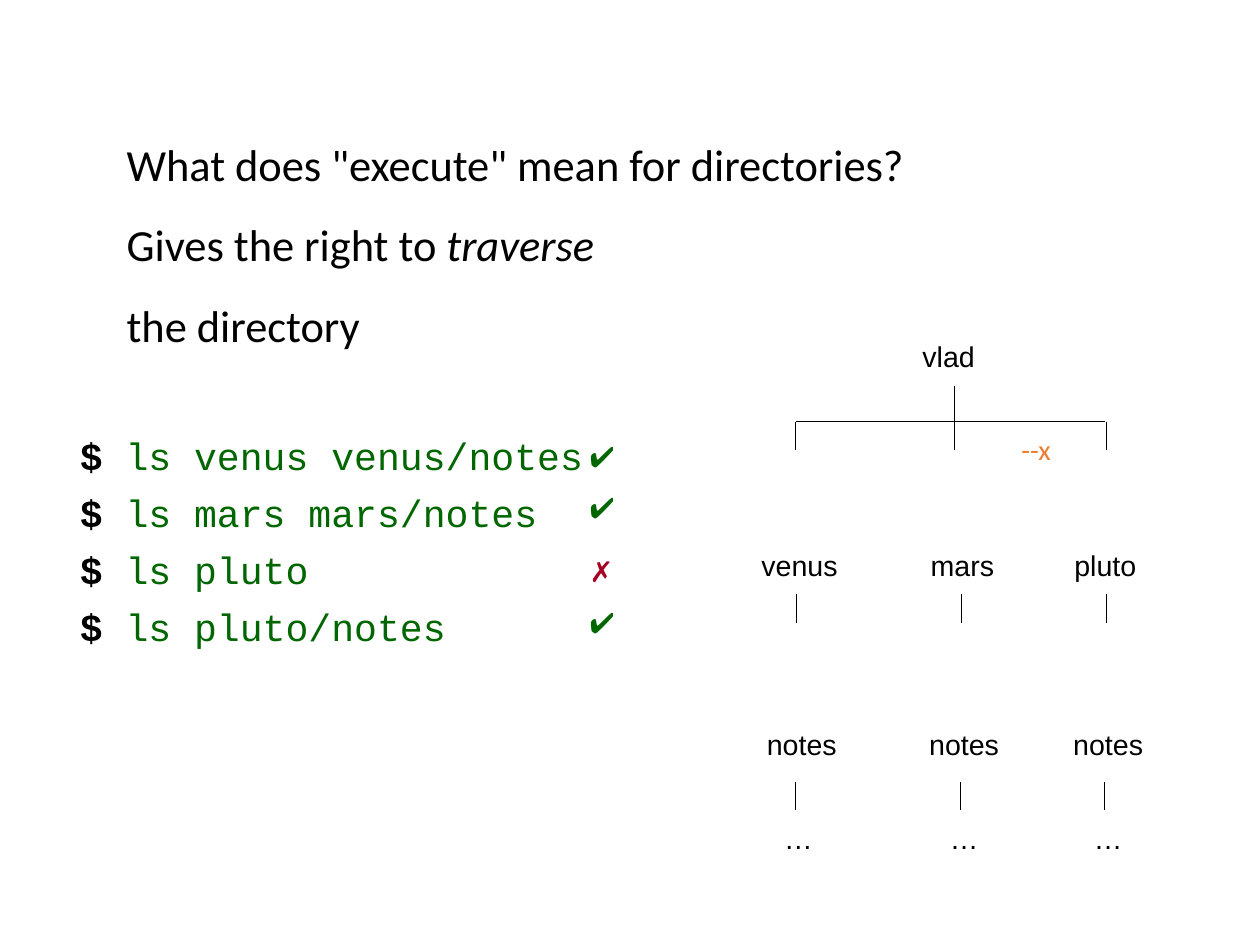
from dataclasses import dataclass

import pptx
import pptx.dml.color
import pptx.enum.shapes
import pptx.enum.text
import pptx.oxml
import pptx.util

Inches, Pt = pptx.util.Inches, pptx.util.Pt
ALIGN = pptx.enum.text.PP_ALIGN


@dataclass(frozen=True)
class Theme:
    black: str = "000000"
    green: str = "006600"
    red: str = "A50021"
    orange: str = "ED7D31"
    heading_size: int = 28
    command_size: int = 24
    label_size: int = 18
    line_width: float = 0.75


theme = Theme()
presentation = pptx.Presentation()
# The page is 28 by 21 centimetres
presentation.slide_width = Inches(28 / 2.54)
presentation.slide_height = Inches(21 / 2.54)
slide = presentation.slides.add_slide(presentation.slide_layouts[6])


def add_text(box, lines, font_name, size, spacing, align=ALIGN.LEFT):
    """Add a text box; each line is a list of (text, colour, bold, italic) runs."""
    text_box = slide.shapes.add_textbox(*[Inches(value) for value in box])
    frame = text_box.text_frame
    frame.word_wrap = False
    for index, runs in enumerate(lines):
        paragraph = frame.paragraphs[0] if index == 0 else frame.add_paragraph()
        paragraph.alignment = align
        paragraph.line_spacing = spacing
        for text, color, bold, italic in runs:
            run = paragraph.add_run()
            run.text = text
            run.font.name = font_name
            run.font.size = Pt(size)
            run.font.bold = bold
            run.font.italic = italic
            run.font.color.rgb = pptx.dml.color.RGBColor.from_string(color)
    return frame


def add_line(x1, y1, x2, y2):
    line = slide.shapes.add_connector(
        pptx.enum.shapes.MSO_CONNECTOR.STRAIGHT,
        Inches(x1), Inches(y1), Inches(x2), Inches(y2))
    line.line.width = Pt(theme.line_width)
    line.line.color.rgb = pptx.dml.color.RGBColor.from_string(theme.black)
    properties = line._element.spPr
    properties.append(properties.makeelement(pptx.oxml.ns.qn("a:effectLst"), {}))


# Heading
heading = [
    [('What does "execute" mean for directories?', theme.black, False, False)],
    [("Gives the right to ", theme.black, False, False),
     ("traverse", theme.black, False, True)],
    [("the directory", theme.black, False, False)],
]
heading_frame = add_text((1.01, 0.92, 7.07, 2.22), heading, "Calibri",
                         theme.heading_size, 1.5)
for paragraph in heading_frame.paragraphs:
    properties = paragraph._p.get_or_add_pPr()
    properties.set("marL", str(Inches(0.5)))
    properties.set("indent", str(Inches(-0.5)))

# Commands and their outcomes
commands = [
    ("ls venus venus/notes", "✔", theme.green, 3.82),
    ("ls mars mars/notes", "✔", theme.green, 4.26),
    ("ls pluto", "✗", theme.red, 4.82),
    ("ls pluto/notes", "✔", theme.green, 5.27),
]
command_lines = [[("$ ", theme.black, True, False), (command, theme.green, False, False)]
                 for command, *_ in commands]
add_text((0.6, 3.63, 4.66, 3.91), command_lines, "Courier New",
         theme.command_size, 1.25)
for _, mark, color, top in commands:
    add_text((5.06, top, 0.45, 0.38), [[(mark, color, False, False)]],
             "Arial", theme.label_size, 0.93)

# Directory tree: root and its branches
add_line(6.96, 3.69, 9.67, 3.69)
for x, top in [(6.96, 3.69), (8.35, 3.38), (9.68, 3.69)]:
    add_line(x, top, x, 3.94)

# Each label: text, left, top, width, font, colour
labels = [
    ("vlad", 7.97, 2.94, 0.66, "Arial", theme.black),
    ("--x", 8.83, 3.76, 0.47, "Calibri", theme.orange),
]

# Each directory: name, left, width, left of notes, left of dots, two stem positions
directories = [
    ("venus", 6.56, 0.87, 6.61, 6.76, 6.97, 6.96),
    ("mars", 8.04, 0.76, 8.03, 8.21, 8.41, 8.4),
    ("pluto", 9.3, 0.74, 9.29, 9.47, 9.68, 9.66),
]
for name, left, width, notes_left, dots_left, upper_stem, lower_stem in directories:
    labels += [
        (name, left, 4.77, width, "Arial", theme.black),
        ("notes", notes_left, 6.34, 0.81, "Arial", theme.black),
        ("…", dots_left, 7.16, 0.45, "Arial", theme.black),
    ]
    add_line(upper_stem, 5.2, upper_stem, 5.45)
    add_line(lower_stem, 6.84, lower_stem, 7.09)

for text, left, top, width, font_name, color in labels:
    add_text((left, top, width, 0.38), [[(text, color, False, False)]],
             font_name, theme.label_size, 0.93, ALIGN.CENTER)

presentation.save("out.pptx")
